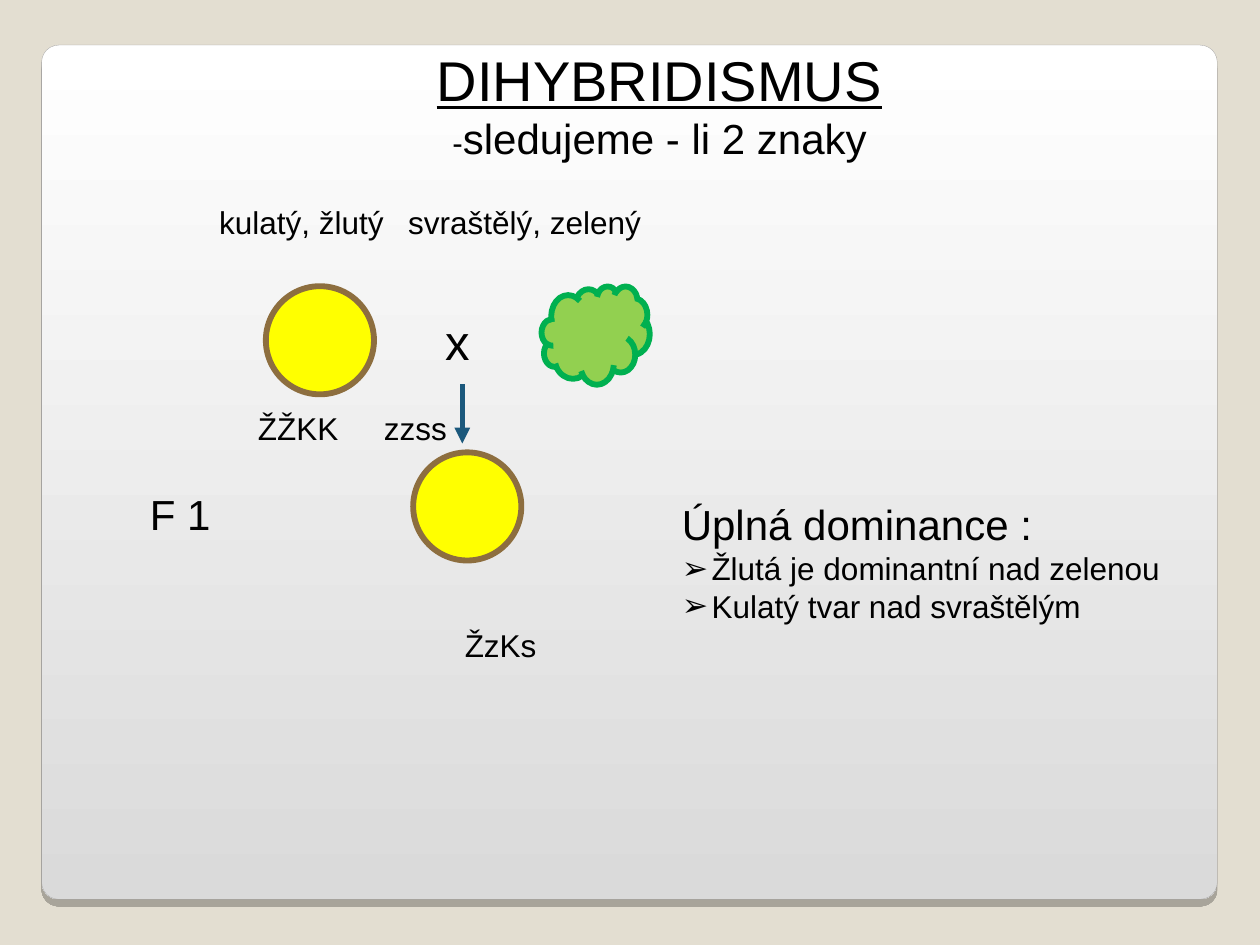
from lxml import etree
from pptx import Presentation
from pptx.dml.color import RGBColor
from pptx.enum.shapes import MSO_CONNECTOR, MSO_SHAPE
from pptx.enum.text import MSO_ANCHOR, MSO_AUTO_SIZE, PP_ALIGN
from pptx.oxml.ns import qn
from pptx.util import Cm, Pt

LEFT, CENTER = PP_ALIGN.LEFT, PP_ALIGN.CENTER
TOP, NO_FIT = MSO_ANCHOR.TOP, MSO_AUTO_SIZE.NONE
OVAL, CLOUD, ROUNDED = MSO_SHAPE.OVAL, MSO_SHAPE.CLOUD, MSO_SHAPE.ROUNDED_RECTANGLE
STRAIGHT = MSO_CONNECTOR.STRAIGHT

BLACK = RGBColor(0x00, 0x00, 0x00)
WHITE = RGBColor(0xFF, 0xFF, 0xFF)
SILVER = RGBColor(0xDA, 0xDA, 0xDA)
GRAY = RGBColor(0xA4, 0xA3, 0xA3)
SAND = RGBColor(0xE3, 0xDE, 0xD1)
YELLOW = RGBColor(0xFF, 0xFF, 0x00)
BROWN = RGBColor(0x8D, 0x6E, 0x3F)
LIGHT_GREEN = RGBColor(0x92, 0xD0, 0x50)
GREEN = RGBColor(0x00, 0xB0, 0x50)
BLUE = RGBColor(0x1B, 0x58, 0x7C)

PEA = 2.18
OUTLINE = 3.34


def add_xml(parent, tag, **attributes):
    return etree.SubElement(parent, qn(tag), attributes)


def write(para, text, size=18, underline=False):
    span = para.add_run()
    span.text = text
    span.font.name = "Arial"
    span.font.size = Pt(size)
    span.font.underline = underline
    span.font.color.rgb = BLACK


def set_layout(para, align=LEFT, bullet=None, tab=None):
    """Set alignment, spacing, and an optional bullet or tab stop (cm)."""
    properties = para._p.get_or_add_pPr()
    indent = Cm(0.6) if bullet else 0
    properties.set("marL", str(indent))
    properties.set("indent", str(-indent))
    if bullet:
        add_xml(properties, "a:buFont", typeface="Arial")
        add_xml(properties, "a:buChar", char=bullet)
    else:
        add_xml(properties, "a:buNone")
    if tab:
        stops = add_xml(properties, "a:tabLst")
        add_xml(stops, "a:tab", pos=str(Cm(tab)), algn="l")
    para.alignment = align
    para.space_before = Pt(0)


class SlideBuilder:
    def __init__(self, page):
        self.page = page
        page.background.fill.solid()
        page.background.fill.fore_color.rgb = SAND

    def placeholder(self, box, left, top, width, height):
        box.left, box.top = Cm(left), Cm(top)
        box.width, box.height = Cm(width), Cm(height)
        frame = box.text_frame
        frame.auto_size = NO_FIT
        frame.vertical_anchor = TOP
        return frame

    def label(self, text, left, top, width, height, size=18, tab=None):
        box = self.page.shapes.add_textbox(Cm(left), Cm(top), Cm(width), Cm(height))
        box.text_frame.word_wrap = True
        para = box.text_frame.paragraphs[0]
        set_layout(para, tab=tab)
        write(para, text, size)

    def outlined(self, kind, left, top, width, height, line, weight=OUTLINE):
        shape = self.page.shapes.add_shape(kind, Cm(left), Cm(top), Cm(width), Cm(height))
        shape.shadow.inherit = False
        shape.line.color.rgb = line
        shape.line.width = Pt(weight)
        return shape

    def pea(self, kind, left, top, height, fill, line):
        shape = self.outlined(kind, left, top, PEA, height, line)
        shape.fill.solid()
        shape.fill.fore_color.rgb = fill

    def panel(self, left, top, width, height):
        """Draw the shaded card behind everything else."""
        shape = self.outlined(ROUNDED, left, top, width, height, GRAY, 0.17)
        shape.adjustments[0] = 0.02
        shape.fill.gradient()
        shape.fill.gradient_angle = 270
        for stop, color, position in zip(shape.fill.gradient_stops, (WHITE, SILVER), (0, 1)):
            stop.color.rgb = color
            stop.position = position
        effects = shape._element.spPr.find(qn("a:effectLst"))
        shadow = add_xml(effects, "a:outerShdw", blurRad="0", dist=str(Pt(4)),
                         dir="5400000", algn="t", rotWithShape="0")
        color = add_xml(shadow, "a:srgbClr", val=str(BLACK))
        add_xml(color, "a:alpha", val="25000")
        self.page.shapes._spTree.insert(2, shape._element)

    def arrow(self, x, top, bottom):
        line = self.page.shapes.add_connector(STRAIGHT, Cm(x), Cm(top), Cm(x), Cm(bottom))
        line.line.color.rgb = BLUE
        line.line.width = Pt(3)
        add_xml(line.line._get_or_add_ln(), "a:tailEnd", type="triangle")
        add_xml(line._element.spPr, "a:effectLst")


def main():
    deck = Presentation()
    deck.slide_width, deck.slide_height = Cm(25.4), Cm(19.05)
    page = deck.slides.add_slide(deck.slide_layouts[1])
    builder = SlideBuilder(page)
    builder.panel(0.84, 0.91, 23.7, 17.22)

    title = builder.placeholder(page.shapes.title, 6.35, 0.79, 13.89, 2.64)
    heading, subtitle = title.paragraphs[0], title.add_paragraph()
    for para in (heading, subtitle):
        set_layout(para, CENTER)
    write(heading, "DIHYBRIDISMUS", 32, underline=True)
    write(subtitle, "-")
    write(subtitle, "sledujeme - li 2 znaky", 24)

    builder.label("kulatý, žlutý\tsvraštělý, zelený", 4.17, 3.96, 13.1, 1.02, tab=5.79)
    builder.pea(OVAL, 5.36, 5.77, PEA, YELLOW, BROWN)
    builder.label("x", 8.74, 6.15, 1.98, 1.45, size=28)
    builder.pea(CLOUD, 10.92, 5.77, 1.98, LIGHT_GREEN, GREEN)
    builder.label("ŽŽKK\tzzss", 4.95, 8.13, 9.53, 1.02, tab=6.22)

    builder.arrow(9.32, 7.75, 8.94)
    builder.label("F 1", 2.77, 9.73, 4.37, 1.27, size=24)
    builder.pea(OVAL, 8.33, 9.12, PEA, YELLOW, BROWN)
    builder.label("ŽzKs", 9.12, 12.5, 3.38, 1.02)

    body = builder.placeholder(page.placeholders[1], 13.49, 9.93, 11.1, 2.79)
    set_layout(body.paragraphs[0])
    write(body.paragraphs[0], "Úplná dominance :", 24)
    for text in ("Žlutá je dominantní nad zelenou", "Kulatý tvar nad svraštělým"):
        para = body.add_paragraph()
        set_layout(para, bullet="➢")
        write(para, text)

    deck.save("out.pptx")


if __name__ == "__main__":
    main()
